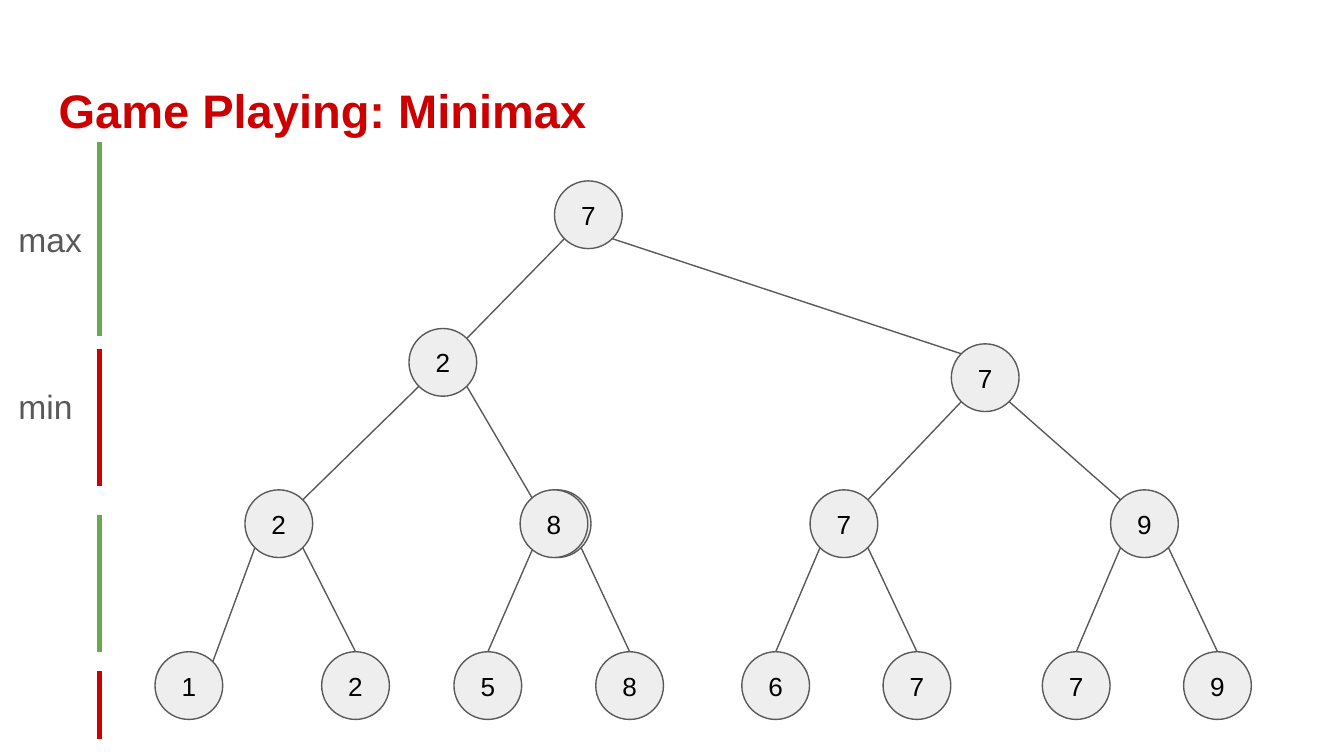
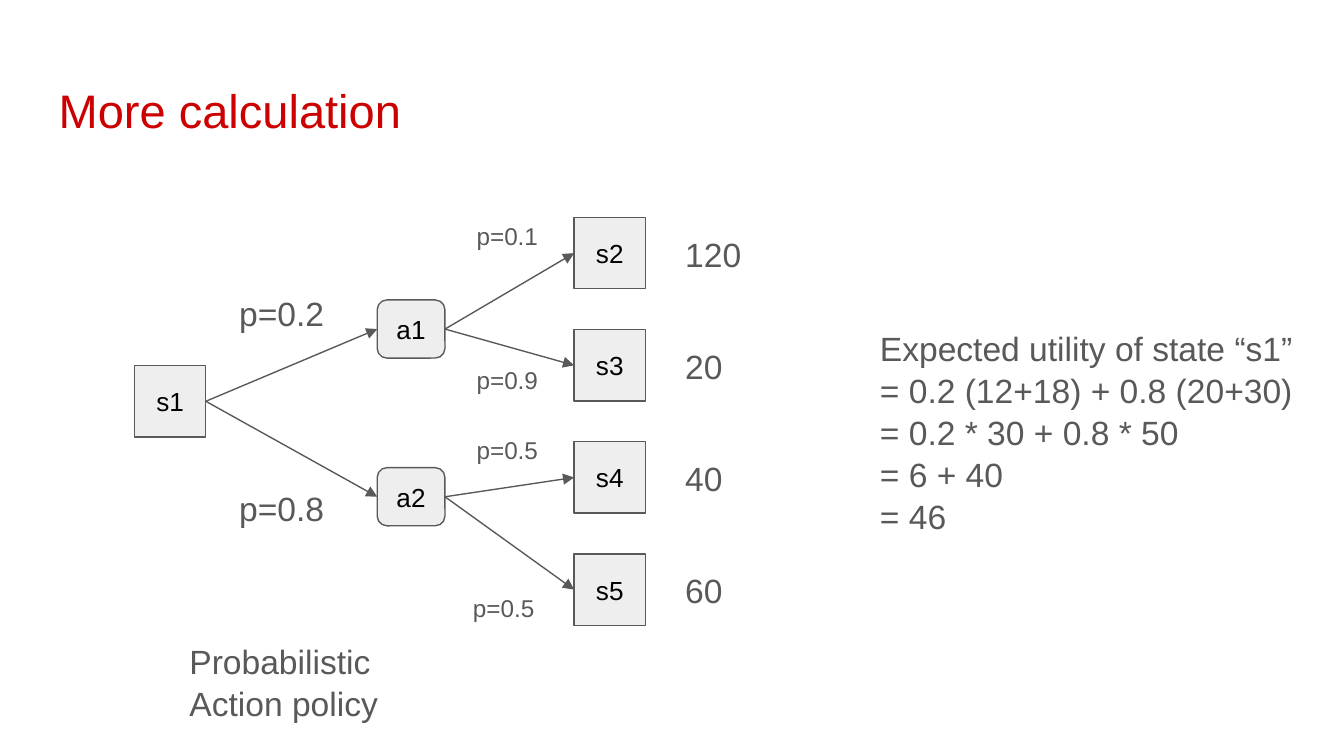
from math import sqrt

from pptx import Presentation
from pptx.dml.color import RGBColor
from pptx.enum.shapes import MSO_CONNECTOR as Connector, MSO_SHAPE as Preset
from pptx.enum.text import MSO_ANCHOR as Anchor, PP_ALIGN as Align
from pptx.oxml.ns import qn
from pptx.util import Cm, Pt
from lxml.etree import SubElement

# Shared look
FONT = "Arial"
RED = RGBColor(0xCC, 0x00, 0x00)
GREEN = RGBColor(0x6A, 0xA8, 0x4F)
GRAY = RGBColor(0x59, 0x59, 0x59)
LIGHT = RGBColor(0xEE, 0xEE, 0xEE)
BLACK = RGBColor(0x00, 0x00, 0x00)
INSET = 0.25

# Minimax tree: each level is a row of (value, centre x, centre y)
RADIUS = 0.64
DIAGONAL = RADIUS / sqrt(2)
TREE = [
    [("7", 11.12, 4.06)],
    [("2", 8.37, 6.85), ("7", 18.62, 7.14)],
    [(value, x, 9.9) for value, x in
     [("2", 5.27), ("", 10.53), ("7", 15.95), ("9", 21.63)]],
    [(value, x, 12.96) for value, x in
     [("1", 3.57), ("2", 6.72), ("5", 9.22), ("8", 11.9),
      ("6", 14.66), ("7", 17.33), ("7", 20.34), ("9", 23.01)]],
]
FRONT_NODE = ("8", 10.47, 9.9)
LEVEL_BARS = [(2.69, 6.35, GREEN), (6.6, 9.19, RED),
              (9.74, 12.33, GREEN), (12.68, 13.96, RED)]

# Decision graph
BOX = 1.35
STATE_LEFT, STATE_TOP, STATE_STEP = 10.85, 4.11, 2.12
STATES = [("s2", "120"), ("s3", "20"), ("s4", "40"), ("s5", "60")]
ACTIONS = [("a1", 5.67), ("a2", 8.84)]
ACTION_ODDS = [("p=0.2", 5.28), ("p=0.8", 8.97)]
STATE_ODDS = [("p=0.1", 8.76, 3.94), ("p=0.9", 8.76, 6.65),
              ("p=0.5", 8.76, 7.98), ("p=0.5", 8.69, 10.97)]


def write_text(shape, text, *, size=18, color=GRAY, bold=False, align=Align.LEFT,
               anchor=Anchor.TOP, wrap=True, spacing=None):
    """Fill a shape with text, one paragraph per line."""
    frame = shape.text_frame
    frame.word_wrap = wrap
    frame.vertical_anchor = anchor
    frame.margin_left = frame.margin_right = Cm(INSET)
    frame.margin_top = frame.margin_bottom = Cm(INSET)
    frame.text = text
    for paragraph in frame.paragraphs:
        paragraph.alignment = align
        paragraph.line_spacing = spacing
        for run in paragraph.runs:
            run.font.name = FONT
            run.font.size = Pt(size)
            run.font.bold = bold
            run.font.color.rgb = color


def add_label(slide, text, left, top, width, height, **text_format):
    box = slide.shapes.add_textbox(Cm(left), Cm(top), Cm(width), Cm(height))
    write_text(box, text, **text_format)


def add_title(slide, text, width, bold=False):
    add_label(slide, text, 0.86, 1.24, width, 1.6, size=25.2, color=RED,
              bold=bold, spacing=1.05)


def add_node(slide, preset, text, left, top, width, height):
    shape = slide.shapes.add_shape(preset, Cm(left), Cm(top), Cm(width), Cm(height))
    shape.shadow.inherit = False
    shape.fill.solid()
    shape.fill.fore_color.rgb = LIGHT
    shape.line.color.rgb = GRAY
    shape.line.width = Pt(0.75)
    if text:
        write_text(shape, text, size=14, color=BLACK, align=Align.CENTER,
                   anchor=Anchor.MIDDLE, wrap=False)
    return shape


def add_circle(slide, text, x, y):
    add_node(slide, Preset.OVAL, text, x - RADIUS, y - RADIUS, 2 * RADIUS, 2 * RADIUS)


def add_line(slide, start, end, color=GRAY, width=0.75):
    line = slide.shapes.add_connector(
        Connector.STRAIGHT, *(Cm(value) for value in (*start, *end)))
    line.line.color.rgb = color
    line.line.width = Pt(width)
    SubElement(line._element.spPr, qn("a:effectLst"))
    return line


def add_arrow(slide, source, target):
    """Join the right side of one node to the left side of another."""
    arrow = add_line(slide, (0, 0), (0, 0))
    arrow.begin_connect(source, 3)
    arrow.end_connect(target, 1)
    SubElement(arrow.line._get_or_add_ln(), qn("a:tailEnd"), type="triangle")


def add_edge(slide, parent, child, side, to_top):
    """Join a parent to its left (side -1) or right (side 1) child."""
    _, parent_x, parent_y = parent
    _, child_x, child_y = child
    if to_top:
        end = (child_x, child_y - RADIUS)
    else:
        end = (child_x - side * DIAGONAL, child_y - DIAGONAL)
    add_line(slide, (parent_x + side * DIAGONAL, parent_y + DIAGONAL), end)


def build_minimax(slide):
    add_title(slide, "Game Playing: Minimax", 23.67, bold=True)

    # Level bars and their players
    for top, bottom, color in LEVEL_BARS:
        add_line(slide, (1.88, top), (1.88, bottom), color, width=3)
    for text, top, width in [("max", 3.89, 1.98), ("min", 7.04, 1.57)]:
        add_label(slide, text, 0.1, top, width, 1.24, wrap=False)

    # Edges first, so that the nodes lie over them
    for parents, children in zip(TREE, TREE[1:]):
        for index, child in enumerate(children):
            to_top = children is TREE[-1] and index > 0
            add_edge(slide, parents[index // 2], child, 1 if index % 2 else -1, to_top)
    for level in TREE:
        for node in level:
            add_circle(slide, *node)
    add_circle(slide, *FRONT_NODE)


def build_calculation(slide):
    add_title(slide, "More calculation", 14.33)

    # Start state, actions, and resulting states with their utilities
    start = add_node(slide, Preset.RECTANGLE, "s1", 2.54, 6.91, BOX, BOX)
    actions = [add_node(slide, Preset.ROUNDED_RECTANGLE, name, 7.13, top, 1.28, 1.1)
               for name, top in ACTIONS]
    for action in actions:
        add_arrow(slide, start, action)
    for index, (name, utility) in enumerate(STATES):
        top = STATE_TOP + index * STATE_STEP
        state = add_node(slide, Preset.RECTANGLE, name, STATE_LEFT, top, BOX, BOX)
        add_arrow(slide, actions[index // 2], state)
        add_label(slide, utility, 12.7, top + 0.06, 1.65, 1.22, wrap=False)

    # Probabilities
    for text, top in ACTION_ODDS:
        add_label(slide, text, 4.27, top, 2.11, 1.22, wrap=False)
    for text, left, top in STATE_ODDS:
        add_label(slide, text, left, top, 1.9, 0.86, size=13, wrap=False)

    # Worked result and caption
    add_label(slide, "Expected utility of state “s1” = 0.2 (12+18) + 0.8 (20+30)\n"
              "= 0.2 * 30 + 0.8 * 50\n= 6 + 40\n= 46",
              16.38, 5.92, 8.61, 4.57, spacing=1.04)
    add_label(slide, "Probabilistic\nAction policy", 3.33, 11.84, 4.52, 2.03,
              spacing=1.04)


def main():
    presentation = Presentation()
    presentation.slide_width = Cm(25.4)
    presentation.slide_height = Cm(14.29)
    blank = presentation.slide_layouts[6]
    for build in (build_minimax, build_calculation):
        build(presentation.slides.add_slide(blank))
    presentation.save("out.pptx")


if __name__ == "__main__":
    main()
